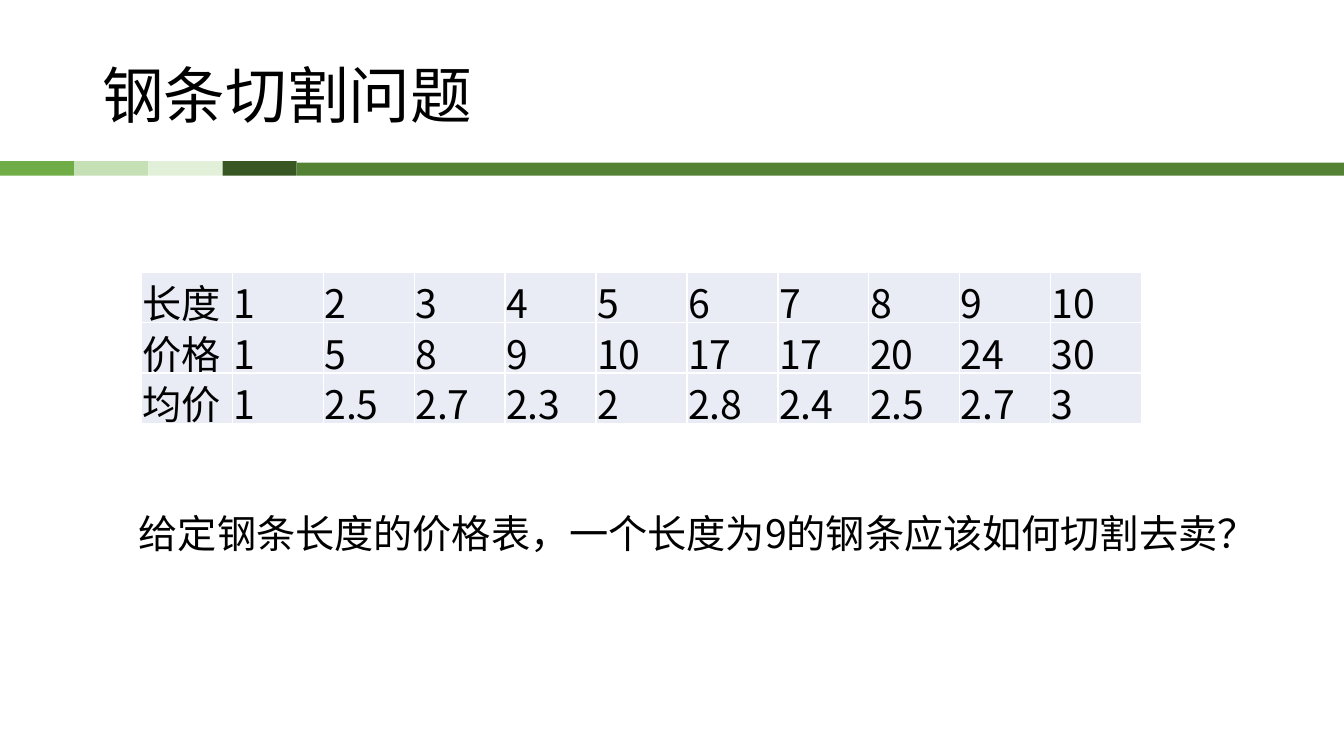
from lxml import etree
from pptx import Presentation
from pptx.dml.color import RGBColor
from pptx.enum.shapes import MSO_SHAPE
from pptx.enum.text import MSO_ANCHOR, MSO_AUTO_SIZE
from pptx.oxml.ns import qn
from pptx.util import Cm, Pt

RECT = MSO_SHAPE.RECTANGLE
MIDDLE = MSO_ANCHOR.MIDDLE
GROW = MSO_AUTO_SIZE.SHAPE_TO_FIT_TEXT

TITLE = "钢条切割问题"
ASK = "给定钢条长度的价格表，一个长度为9的钢条应该如何切割去卖？"
PRICES = [
    ("长度", "1", "2", "3", "4", "5", "6", "7", "8", "9", "10"),
    ("价格", "1", "5", "8", "9", "10", "17", "17", "20", "24", "30"),
    ("均价", "1", "2.5", "2.7", "2.3", "2", "2.8", "2.4", "2.5", "2.7", "3"),
]
FONT = "Noto Sans CJK SC"
HUES = {
    "text": "000000", "cell": "E9EBF5", "edge": "FFFFFF", "bar": "548235",
    "mid": "70AD47", "light": "C5E0B4", "pale": "E2F0D9", "dark": "385723",
}
BLOCKS = ("mid", "light", "pale", "dark")
WIDE, HIGH = 33.87, 19.05
STEP = 1.87


def tint(fill, hue):
    fill.solid()
    fill.fore_color.rgb = RGBColor.from_string(HUES[hue])


def add_bar(slide, left, top, width, height, hue):
    bar = slide.shapes.add_shape(RECT, Cm(left), Cm(top), Cm(width), Cm(height))
    bar.shadow.inherit = False
    tint(bar.fill, hue)
    bar.line.fill.background()


def add_run(para, text, size):
    run = para.add_run()
    run.text = text
    run.font.size = Pt(size)
    run.font.name = FONT
    run.font.color.rgb = RGBColor.from_string(HUES["text"])
    etree.SubElement(run.font._element, qn("a:ea"), typeface=FONT)


def add_text(slide, left, top, width, height, text, size):
    box = slide.shapes.add_textbox(Cm(left), Cm(top), Cm(width), Cm(height))
    add_run(box.text_frame.paragraphs[0], text, size)
    return box.text_frame


def add_edges(cell):
    props = cell._tc.get_or_add_tcPr()
    for spot, side in enumerate(("lnL", "lnR", "lnT", "lnB")):
        line = etree.Element(qn("a:" + side), w=str(Pt(1)))
        fill = etree.SubElement(line, qn("a:solidFill"))
        etree.SubElement(fill, qn("a:srgbClr"), val=HUES["edge"])
        props.insert(spot, line)


def add_prices(slide):
    rows, cols = len(PRICES), len(PRICES[0])
    table = slide.shapes.add_table(
        rows, cols, Cm(3.56), Cm(6.86), Cm(25.22), Cm(3.81)).table
    table.first_row = table.horz_banding = False
    for r, row in enumerate(PRICES):
        for c, text in enumerate(row):
            cell = table.cell(r, c)
            cell.margin_left = cell.margin_right = cell.margin_top = Cm(0.03)
            cell.margin_bottom = 0
            cell.vertical_anchor = MIDDLE
            tint(cell.fill, "cell")
            add_edges(cell)
            add_run(cell.text_frame.paragraphs[0], text, 28)


def main():
    """Build the rod cutting slide."""
    deck = Presentation()
    deck.slide_width, deck.slide_height = Cm(WIDE), Cm(HIGH)
    slide = deck.slides.add_slide(deck.slide_layouts[6])
    for spot, hue in enumerate(BLOCKS):
        add_bar(slide, spot * STEP, 4.06, STEP, 0.37, hue)
    start = len(BLOCKS) * STEP
    add_bar(slide, start, 4.1, WIDE - start, 0.33, "bar")

    title = add_text(slide, 2.33, 1.01, 29.21, 2.95, TITLE, 44)
    title.word_wrap = True
    title.vertical_anchor = MIDDLE
    title.paragraphs[0].line_spacing = 0.9

    ask = add_text(slide, 3.25, 12.72, 28.96, 1.45, ASK, 28)
    ask.word_wrap = False
    ask.auto_size = GROW

    add_prices(slide)
    deck.save("out.pptx")


if __name__ == "__main__":
    main()
